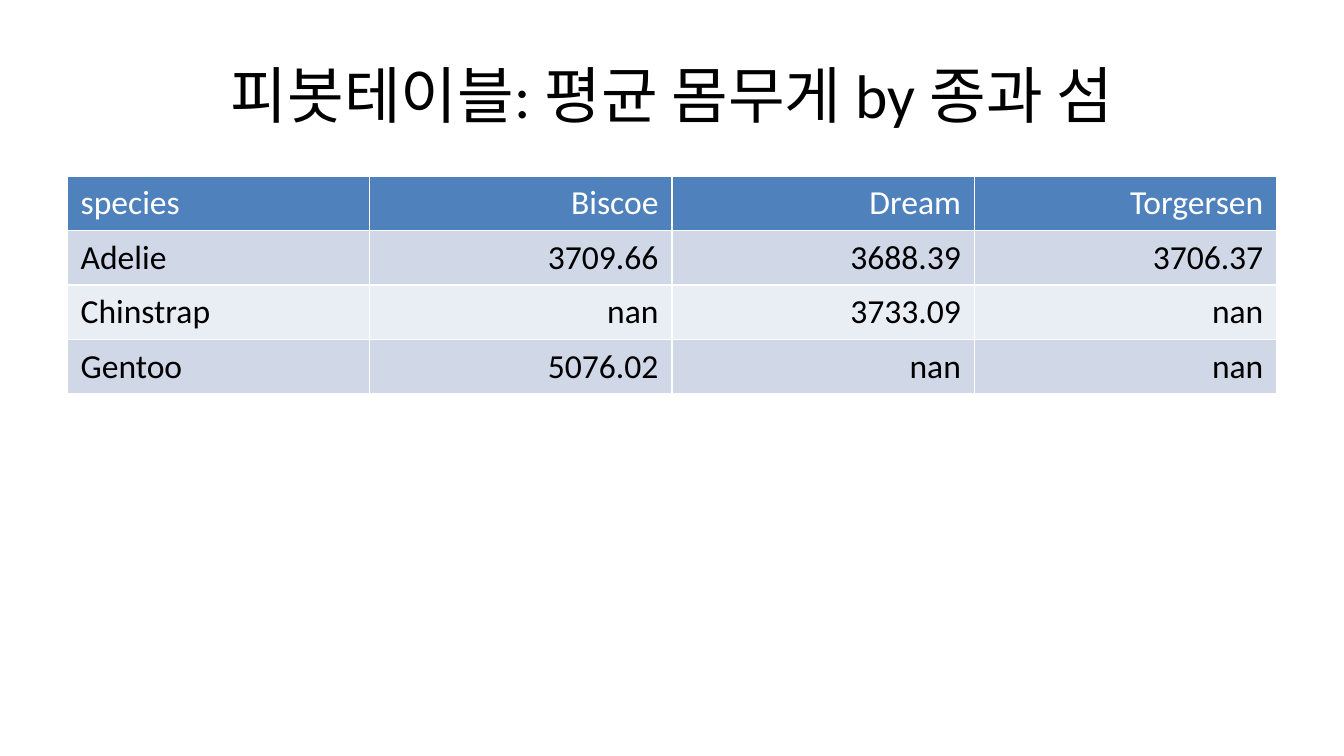
from dataclasses import dataclass

from pptx import Presentation
from pptx.dml.color import RGBColor as RGB
from pptx.enum.text import MSO_ANCHOR as Anchor, PP_ALIGN as Align
from pptx.slide import Slide
from pptx.text.text import TextFrame as Frame
from pptx.util import Inches, Pt


@dataclass(frozen=True)
class Theme:
    font: str = "Calibri"
    title: float = 33
    body: float = 18
    ink: RGB = RGB(0x00, 0x00, 0x00)
    paper: RGB = RGB(0xFF, 0xFF, 0xFF)
    head: RGB = RGB(0x4F, 0x81, 0xBD)
    dark: RGB = RGB(0xD0, 0xD8, 0xE8)
    light: RGB = RGB(0xE9, 0xED, 0xF4)


@dataclass(frozen=True)
class Row:
    label: str
    values: tuple[str, ...]


THEME = Theme()
WIDE = 10
HIGH = WIDE * 9 / 16
LEFT = 0.5
SPAN = WIDE - 2 * LEFT
ROWS = (
    Row("species", ("Biscoe", "Dream", "Torgersen")),
    Row("Adelie", ("3709.66", "3688.39", "3706.37")),
    Row("Chinstrap", ("nan", "3733.09", "nan")),
    Row("Gentoo", ("5076.02", "nan", "nan")),
)


def write(frame: Frame, text: str, size: float, color: RGB, align: Align) -> None:
    frame.text = text
    para = frame.paragraphs[0]
    para.alignment = align
    font = para.runs[0].font
    font.name = THEME.font
    font.size = Pt(size)
    font.bold = False
    font.color.rgb = color


def add_title(slide: Slide, text: str) -> None:
    title = slide.shapes.title
    title.left, title.top = Inches(LEFT), Inches(0.23)
    title.width, title.height = Inches(SPAN), Inches(0.94)
    title.text_frame.vertical_anchor = Anchor.MIDDLE
    write(title.text_frame, text, THEME.title, THEME.ink, Align.CENTER)


def add_pivot(slide: Slide, rows: tuple[Row, ...]) -> None:
    cols = len(rows[0].values) + 1
    table = slide.shapes.add_table(
        len(rows), cols, Inches(LEFT), Inches(1.31),
        Inches(SPAN), Inches(0.4 * len(rows)),
    ).table
    for r, row in enumerate(rows):
        band = THEME.dark if r % 2 else THEME.light
        fill = band if r else THEME.head
        color = THEME.ink if r else THEME.paper
        for c, text in enumerate((row.label, *row.values)):
            cell = table.cell(r, c)
            cell.fill.solid()
            cell.fill.fore_color.rgb = fill
            align = Align.RIGHT if c else Align.LEFT
            write(cell.text_frame, text, THEME.body, color, align)


def main() -> None:
    deck = Presentation()
    deck.slide_width, deck.slide_height = Inches(WIDE), Inches(HIGH)
    slide = deck.slides.add_slide(deck.slide_layouts.get_by_name("Title Only"))
    add_title(slide, "피봇테이블: 평균 몸무게 by 종과 섬")
    add_pivot(slide, ROWS)
    deck.save("out.pptx")


if __name__ == "__main__":
    main()
